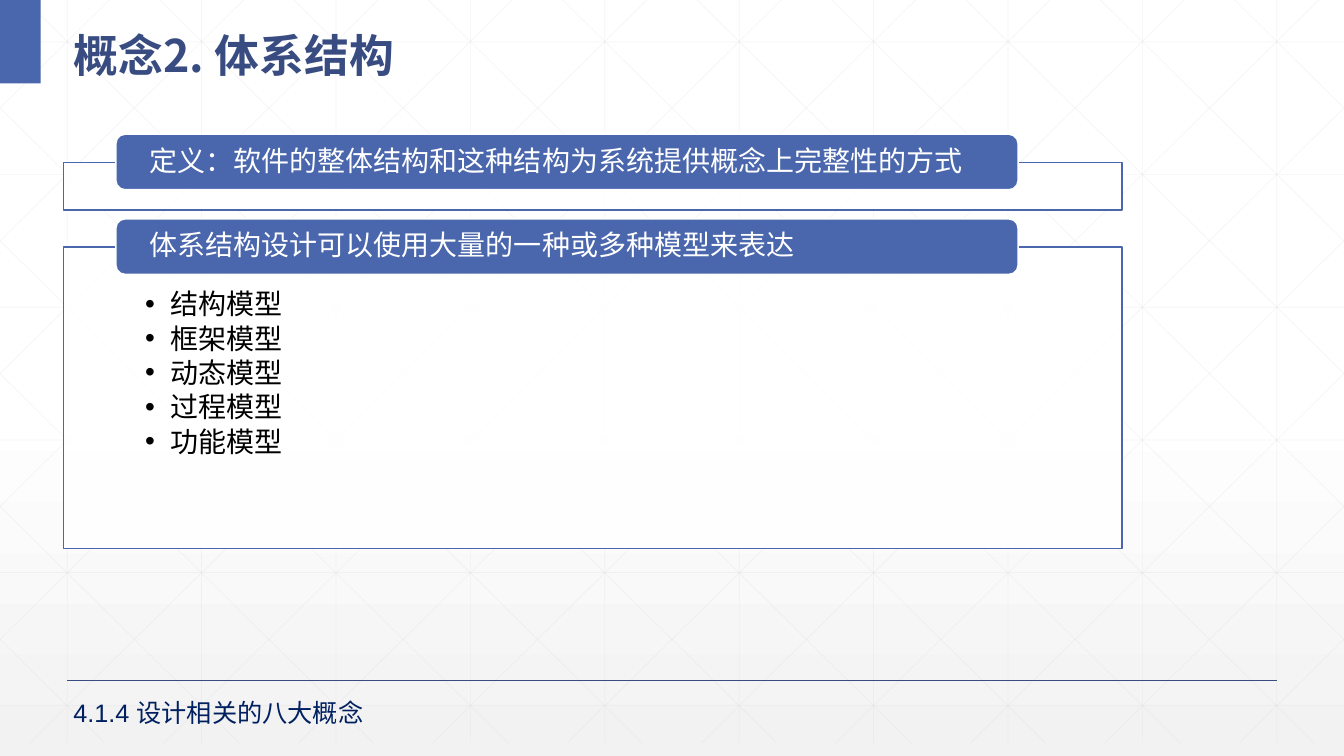
from lxml import etree
from pptx import Presentation
from pptx import util as u
from pptx.dml.color import RGBColor
from pptx.enum import shapes, text
from pptx.oxml.ns import qn

TITLE = "概念2. 体系结构"
HEADS = ["定义：软件的整体结构和这种结构为系统提供概念上完整性的方式",
         "体系结构设计可以使用大量的一种或多种模型来表达"]
MODELS = ["结构模型", "框架模型", "动态模型", "过程模型", "功能模型"]
FOOT = "4.1.4 设计相关的八大概念"
BLUE, NAVY, INK = "4A66AC", "384C81", "002060"
WHITE, BLACK, GREY = "FFFFFF", "000000", "D9D9D9"
SANS, CJK = "Arial", "Noto Sans CJK SC"
WIDE, HIGH = 960, 540
DEEP, RUN, STEP = 530.6, 536.8, 96   # grid height, width of a full diagonal, pitch
LEFT, SPAN = 45.4, 756               # frames
TOPS, TALLS = [115.9, 176.4], [34, 215.3]
PILL_X, PILL_W, PILL_H = 82.8, 644.4, 39.6
RISE = 20                            # a pill starts this far above its frame


def paint(part, color, alpha=None):
    """Give a fill or a line's fill a solid colour, with opacity in percent."""
    part.solid()
    part.fore_color.rgb = RGBColor.from_string(color)
    if alpha:
        node = part._xPr.find(qn("a:solidFill"))[0]
        etree.SubElement(node, qn("a:alpha")).set("val", str(alpha * 1000))


def place(shape, x, y, w, h):
    shape.left, shape.top, shape.width, shape.height = map(u.Pt, (x, y, w, h))


def edge(shape, color, width=1, alpha=None):
    paint(shape.line.fill, color, alpha)
    shape.line.width = u.Pt(width)


def line(host, x1, y1, x2, y2, color, width, alpha=None):
    link = host.add_connector(shapes.MSO_CONNECTOR.STRAIGHT,
                              *map(u.Pt, (x1, y1, x2, y2)))
    edge(link, color, width, alpha)
    etree.SubElement(link._element.spPr, qn("a:effectLst"))


def block(kind, x, y, w, h, color, alpha=None):
    shape = slide.shapes.add_shape(kind, *map(u.Pt, (x, y, w, h)))
    shape.shadow.inherit = False
    paint(shape.fill, color, alpha)
    shape.line.fill.background()
    return shape


def setup(shape, anchor, pads=(7.2, 3.6, 7.2, 3.6)):
    frame = shape.text_frame
    frame.word_wrap = True
    frame.auto_size = text.MSO_AUTO_SIZE.NONE
    frame.vertical_anchor = anchor
    (frame.margin_left, frame.margin_top,
     frame.margin_right, frame.margin_bottom) = map(u.Pt, pads)
    return frame


def write(para, words, size, color, font=SANS, bold=False, space=1.0):
    para.alignment = text.PP_ALIGN.LEFT
    para.line_spacing = space
    para.space_before = para.space_after = u.Pt(0)
    run = para.add_run()
    run.text = words
    run.font.size, run.font.name, run.font.bold = u.Pt(size), font, bold
    run.font.color.rgb = RGBColor.from_string(color)
    etree.SubElement(run._r.rPr, qn("a:ea")).set("typeface", CJK)


def raise_up(shape):
    """Bring a placeholder in front of all that is drawn so far."""
    tree = shape._element.getparent()
    tree.append(shape._element)


def draw_grid():
    grid = slide.shapes.add_group_shape().shapes
    rows = [(48 + STEP * i, 0, 48 + STEP * i, DEEP) for i in range(10)]
    rows += [(0, 30 + 94.75 * i, WIDE, 30 + 94.75 * i) for i in range(6)]
    for i in range(-5, 10):
        start = 18 + STEP * i
        x1, x2 = max(start, 0), min(start + RUN, WIDE)
        y1, y2 = ((x - start) * DEEP / RUN for x in (x1, x2))
        rows += [(x1, y1, x2, y2), (WIDE - x1, y1, WIDE - x2, y2)]
    for row in rows:
        line(grid, *row, GREY, 0.5, 25)


def draw_list(body):
    raise_up(body)
    place(body, LEFT, TOPS[1], SPAN, TALLS[1])
    paint(body.fill, WHITE, 90)
    edge(body, BLUE)
    frame = setup(body, text.MSO_ANCHOR.TOP, (58.3, 28, 58.3, 11.5))
    for i, model in enumerate(MODELS):
        para = frame.add_paragraph() if i else frame.paragraphs[0]
        props = para._p.get_or_add_pPr()
        props.set("marL", str(u.Pt(18)))
        props.set("indent", str(-u.Pt(18)))
        etree.SubElement(props, qn("a:buFont")).set("typeface", SANS)
        etree.SubElement(props, qn("a:buChar")).set("char", "•")
        write(para, model, 20, BLACK, space=u.Pt(24.5))


def draw_pill(head, top):
    pill = block(shapes.MSO_SHAPE.ROUNDED_RECTANGLE,
                 PILL_X, top - RISE, PILL_W, PILL_H, BLUE)
    edge(pill, WHITE)
    frame = setup(pill, text.MSO_ANCHOR.MIDDLE, (22, 0, 22, 0))
    write(frame.paragraphs[0], head, 20, WHITE, space=0.9)


deck = Presentation()
deck.slide_width, deck.slide_height = u.Pt(WIDE), u.Pt(HIGH)
slide = deck.slides.add_slide(deck.slide_layouts[1])
back = slide.background.fill
back.gradient()
back.gradient_angle = 270
for stop, spot, color in zip(back.gradient_stops, (0.53, 1), (WHITE, "F2F2F2")):
    stop.position = spot
    stop.color.rgb = RGBColor.from_string(color)

draw_grid()
line(slide.shapes, 48, 486, 912, 486, NAVY, 1)
block(shapes.MSO_SHAPE.RECTANGLE, 0, 0, 29, 59.5, BLUE)

title = slide.shapes.title
raise_up(title)
place(title, LEFT, 7.2, 894, 52.6)
write(setup(title, text.MSO_ANCHOR.MIDDLE).paragraphs[0],
      TITLE, 32, NAVY, CJK, True, 1.3)

first = block(shapes.MSO_SHAPE.RECTANGLE, LEFT, TOPS[0], SPAN, TALLS[0], WHITE, 90)
edge(first, BLUE)
draw_list(slide.placeholders[1])
for head, top in zip(HEADS, TOPS):
    draw_pill(head, top)

foot = slide.shapes.add_textbox(*map(u.Pt, (LEFT, 494.6, 272, 29)))
write(setup(foot, text.MSO_ANCHOR.TOP).paragraphs[0], FOOT, 18, INK)
foot.text_frame.auto_size = text.MSO_AUTO_SIZE.SHAPE_TO_FIT_TEXT
deck.save("out.pptx")
